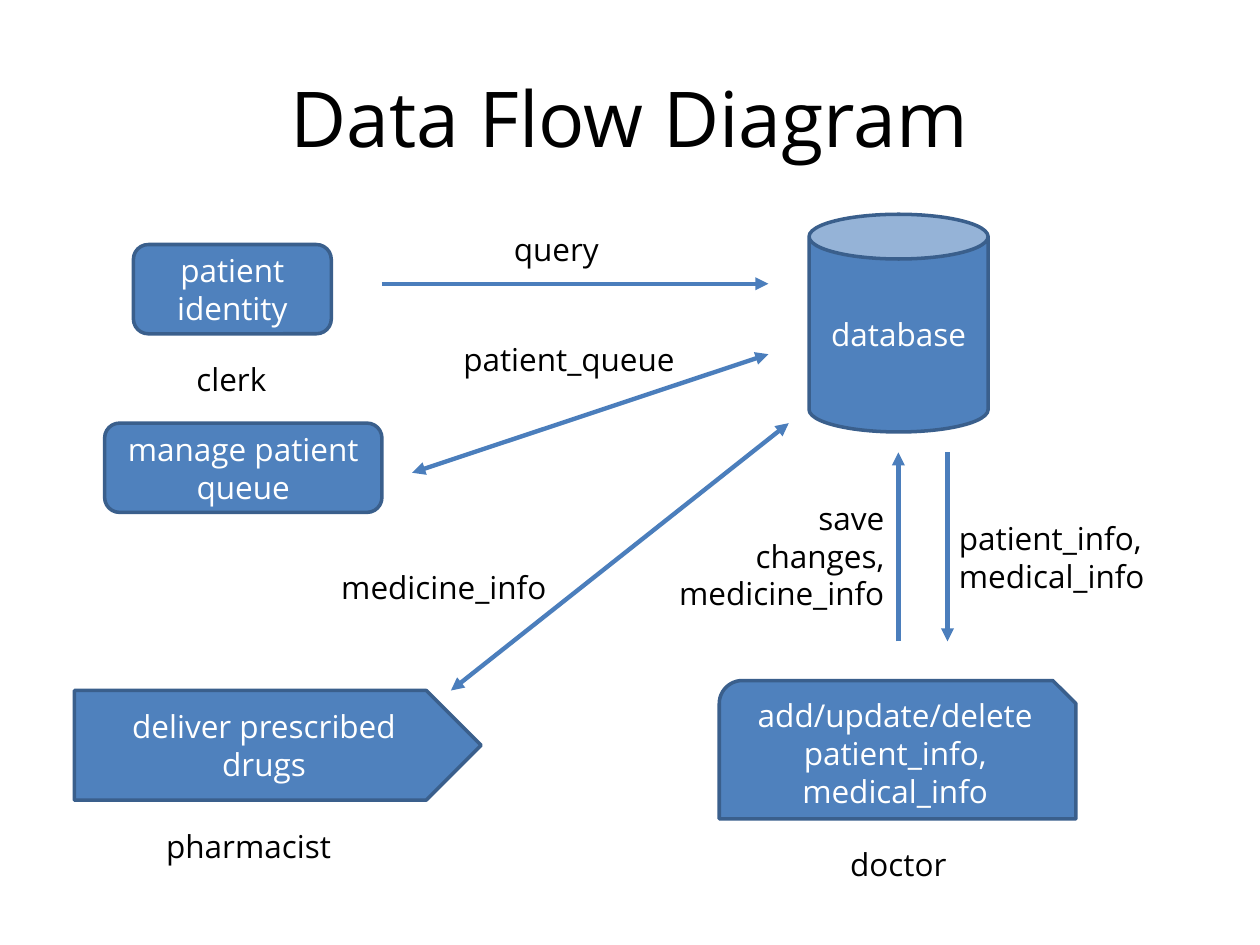
from lxml.etree import SubElement
from pptx import Presentation
from pptx.dml.color import RGBColor
from pptx.enum.shapes import MSO_CONNECTOR, MSO_SHAPE
from pptx.enum.text import MSO_ANCHOR, PP_ALIGN
from pptx.oxml.ns import qn
from pptx.util import Cm, Pt

FONT = "Open Sans"
COLORS = {"fill": "4F81BD", "border": "3A5F8C", "arrow": "4B7EBC",
          "light": "FFFFFF", "dark": "000000"}

# Content: lengths in cm
TITLE = ("Data Flow Diagram", (1.27, 0.76, 22.86, 3.18))

NODES = [  # text, shape, (left, top, width, height)
    ("patient identity", MSO_SHAPE.ROUNDED_RECTANGLE, (2.69, 4.93, 3.99, 1.8)),
    ("manage patient queue", MSO_SHAPE.FLOWCHART_ALTERNATE_PROCESS,
     (2.11, 8.53, 5.59, 1.8)),
    ("deliver prescribed drugs", MSO_SHAPE.PENTAGON, (1.5, 13.92, 8.2, 2.21)),
    ("database", MSO_SHAPE.CAN, (16.31, 4.32, 3.61, 4.39)),
    ("add/update/delete patient_info, medical_info",
     MSO_SHAPE.SNIP_ROUND_RECTANGLE, (14.5, 13.72, 7.19, 2.79)),
]

ARROWS = [  # start, end, two-way
    ((7.7, 5.72), (15.49, 5.72), False),
    ((15.49, 7.14), (8.31, 9.53), True),
    ((15.9, 8.53), (9.09, 13.92), True),
    ((18.11, 12.93), (18.11, 9.12), False),
    ((19.1, 9.12), (19.1, 12.93), False),
]

LABELS = [  # lines, left, top, width, alignment
    (["query"], 10.11, 4.52, 2.26, PP_ALIGN.LEFT),
    (["patient_queue"], 9.09, 6.73, 4.93, PP_ALIGN.LEFT),
    (["medicine_info"], 6.63, 11.33, 4.85, PP_ALIGN.LEFT),
    (["save", "changes,", "medicine_info"], 13.23, 9.93, 4.85, PP_ALIGN.RIGHT),
    (["patient_info,", "medical_info"], 19.08, 10.34, 4.42, PP_ALIGN.LEFT),
    (["clerk"], 3.71, 7.14, 2.03, PP_ALIGN.LEFT),
    (["pharmacist"], 3.1, 16.54, 3.96, PP_ALIGN.LEFT),
    (["doctor"], 16.89, 16.92, 2.54, PP_ALIGN.LEFT),
]
LINE_HEIGHT, PADDING = 0.77, 0.25


def rgb(name):
    return RGBColor.from_string(COLORS[name])


def write(sp, *lines, size=18, color="dark", align=PP_ALIGN.CENTER,
          anchor=MSO_ANCHOR.MIDDLE, wrap=True):
    tf = sp.text_frame
    tf.word_wrap = wrap
    tf.vertical_anchor = anchor
    for i, line in enumerate(lines):
        p = tf.add_paragraph() if i else tf.paragraphs[0]
        p.alignment = align
        r = p.add_run()
        r.text = line
        r.font.name = FONT
        r.font.size = Pt(size)
        r.font.color.rgb = rgb(color)


def add_node(s, text, kind, box):
    sp = s.shapes.add_shape(kind, *map(Cm, box))
    sp.shadow.inherit = False
    sp.fill.solid()
    sp.fill.fore_color.rgb = rgb("fill")
    sp.line.color.rgb = rgb("border")
    sp.line.width = Pt(2)
    write(sp, text, color="light")


def add_arrow(s, start, end, two_way):
    sp = s.shapes.add_connector(MSO_CONNECTOR.STRAIGHT, *map(Cm, start + end))
    sp.line.color.rgb = rgb("arrow")
    sp.line.width = Pt(2.5)
    ln = sp.line._get_or_add_ln()
    for tag in ["a:headEnd", "a:tailEnd"] if two_way else ["a:tailEnd"]:
        SubElement(ln, qn(tag), type="triangle")
    SubElement(sp._element.spPr, qn("a:effectLst"))


def main():
    prs = Presentation()
    prs.slide_width, prs.slide_height = Cm(25.4), Cm(19.05)
    s = prs.slides.add_slide(prs.slide_layouts[6])

    # Title
    text, box = TITLE
    write(s.shapes.add_textbox(*map(Cm, box)), text, size=44)

    # Processes and data store
    for node in NODES:
        add_node(s, *node)

    # Flows
    for arrow in ARROWS:
        add_arrow(s, *arrow)

    # Flow and role labels
    for lines, left, top, width, align in LABELS:
        height = PADDING + LINE_HEIGHT * len(lines)
        sp = s.shapes.add_textbox(Cm(left), Cm(top), Cm(width), Cm(height))
        write(sp, *lines, align=align, anchor=MSO_ANCHOR.TOP, wrap=False)

    prs.save("out.pptx")


if __name__ == "__main__":
    main()
